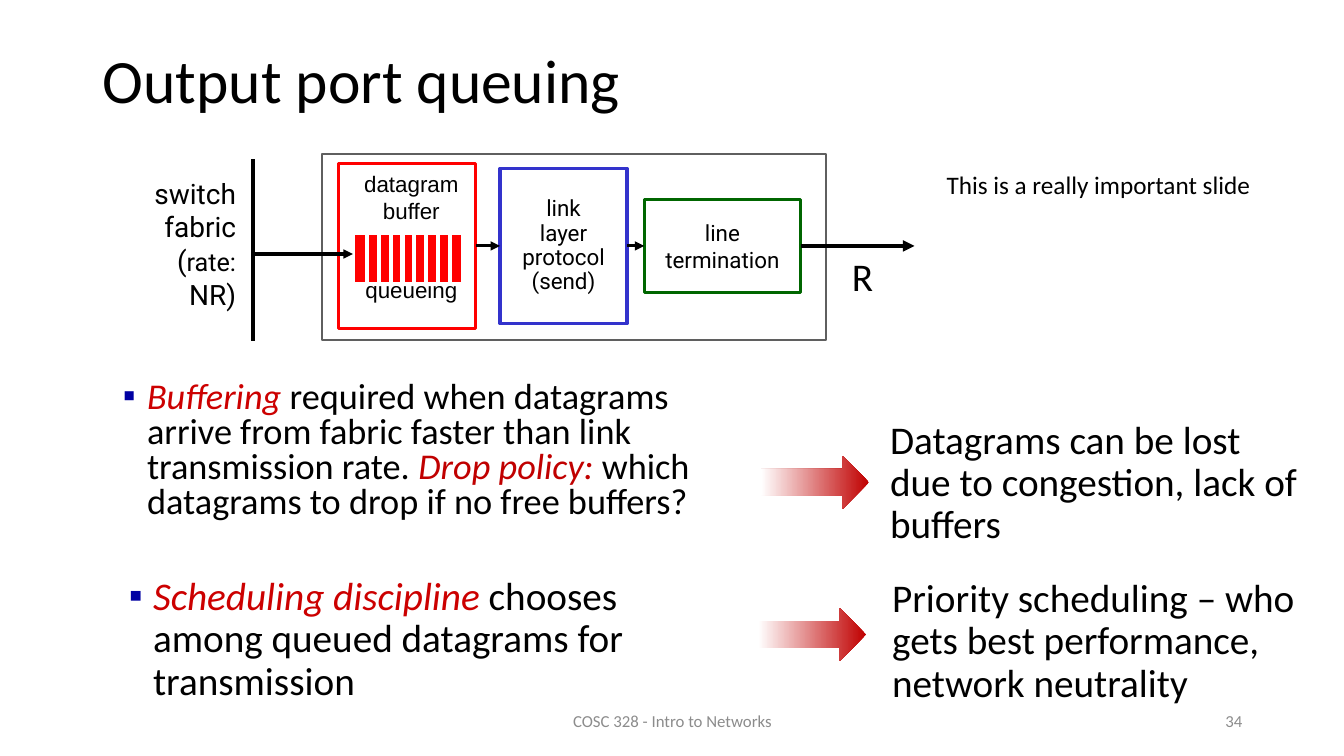
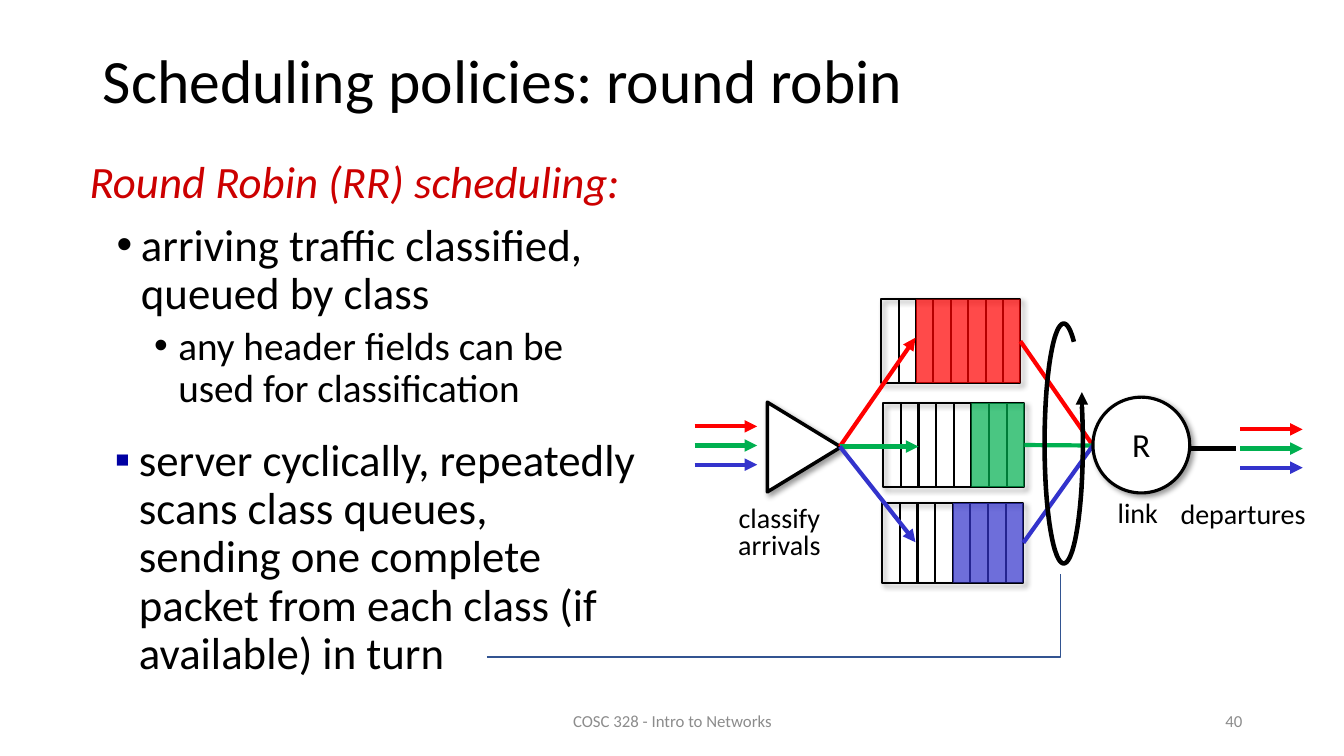
from dataclasses import dataclass
from math import cos, radians, sin
from typing import Optional

from lxml.etree import SubElement
from pptx import Presentation
from pptx.dml.color import RGBColor
from pptx.enum.shapes import MSO_CONNECTOR, MSO_SHAPE
from pptx.enum.text import MSO_ANCHOR, PP_ALIGN as ALIGN
from pptx.oxml.ns import qn
from pptx.util import Inches, Pt

BLACK, WHITE, GREY = "000000", "FFFFFF", "8C8C8C"
RED, GREEN, BLUE = "FF0000", "00B050", "3333CC"
ACCENT, CRIMSON, BULLET_BLUE = "CC0000", "C00000", "0000A3"
FOOTER = "COSC 328 - Intro to Networks"
TITLE_BOX = (0.92, 0.34, 11.5, 0.98)
CLASS_COLORS = (RED, GREEN, BLUE)


@dataclass(frozen=True)
class Run:
    text: str
    color: Optional[str] = None
    size: Optional[float] = None
    italic: bool = False


@dataclass(frozen=True)
class Para:
    runs: tuple
    bullet: str = ""
    bullet_color: str = BLACK
    left: float = 0
    hanging: float = 0
    before: float = 0
    size: Optional[float] = None


@dataclass(frozen=True)
class Outcome:
    text: str
    text_box: tuple
    arrow_box: tuple


@dataclass(frozen=True)
class Queue:
    box: tuple
    color: str
    first_full: int
    entry: tuple


def rgb(color: str) -> RGBColor:
    return RGBColor.from_string(color)


def inches(values) -> list:
    return [Inches(value) for value in values]


def add_bullet(paragraph, item: Para) -> None:
    props = paragraph._p.get_or_add_pPr()
    props.set("marL", str(Inches(item.left)))
    props.set("indent", str(-Inches(item.hanging)))
    if item.bullet:
        tint = SubElement(props, qn("a:buClr"))
        SubElement(tint, qn("a:srgbClr"), val=item.bullet_color)
        SubElement(props, qn("a:buFont"), typeface="Arial")
        SubElement(props, qn("a:buChar"), char=item.bullet)
    else:
        SubElement(props, qn("a:buNone"))


def write(frame, *items, size: float, color: str = BLACK, font: str = "Calibri",
          align=ALIGN.LEFT, anchor=MSO_ANCHOR.TOP, wrap: bool = True,
          spacing: float = 1.0) -> None:
    frame.word_wrap = wrap
    frame.vertical_anchor = anchor
    for index, item in enumerate(items):
        item = Para((Run(item),)) if isinstance(item, str) else item
        paragraph = frame.add_paragraph() if index else frame.paragraphs[0]
        paragraph.alignment = align
        paragraph.line_spacing = spacing
        if index:
            paragraph.space_before = Pt(item.before)
        add_bullet(paragraph, item)
        for part in item.runs:
            run = paragraph.add_run()
            run.text = part.text
            run.font.name = font
            run.font.size = Pt(part.size or item.size or size)
            run.font.italic = part.italic
            run.font.color.rgb = rgb(part.color or color)


def add_text(slide, box: tuple, *items, **style) -> None:
    write(slide.shapes.add_textbox(*inches(box)).text_frame, *items, **style)


def paint(shape, fill: Optional[str], line: Optional[str], width: float,
          shadow: bool = False, opacity: int = 100):
    if fill:
        shape.fill.solid()
        shape.fill.fore_color.rgb = rgb(fill)
        if opacity < 100:
            tint = shape._element.spPr.find(f"{qn('a:solidFill')}/{qn('a:srgbClr')}")
            SubElement(tint, qn("a:alpha"), val=str(opacity * 1000))
    else:
        shape.fill.background()
    if line:
        shape.line.color.rgb = rgb(line)
        shape.line.width = Pt(width)
    else:
        shape.line.fill.background()
    shape.shadow.inherit = False
    if shadow:
        effects = shape._element.spPr.find(qn("a:effectLst"))
        outer = SubElement(effects, qn("a:outerShdw"), blurRad=str(Pt(4)), dist=str(Pt(3)),
                           dir="2700000", algn="tl", rotWithShape="0")
        tint = SubElement(outer, qn("a:srgbClr"), val=BLACK)
        SubElement(tint, qn("a:alpha"), val="40000")
    return shape


def add_block(slide, box: tuple, fill: Optional[str] = None, line: Optional[str] = None,
              width: float = 2.25, preset=MSO_SHAPE.RECTANGLE, **effects):
    return paint(slide.shapes.add_shape(preset, *inches(box)), fill, line, width, **effects)


def add_line(slide, start: tuple, end: tuple, color: str = BLACK, width: float = 2.25,
             arrow: bool = False, source=None, target=None) -> None:
    link = slide.shapes.add_connector(MSO_CONNECTOR.STRAIGHT, *inches(start + end))
    if source is not None:
        link.begin_connect(source, 3)
    if target is not None:
        link.end_connect(target, 1)
    link.line.color.rgb = rgb(color)
    link.line.width = Pt(width)
    props = link._element.spPr
    if arrow:
        SubElement(props.find(qn("a:ln")), qn("a:tailEnd"), type="triangle")
    SubElement(props, qn("a:effectLst"))


def add_polyline(slide, points: list, color: str, width: float) -> None:
    start, *rest = [tuple(inches(point)) for point in points]
    builder = slide.shapes.build_freeform(*start)
    builder.add_line_segments(rest, close=False)
    paint(builder.convert_to_shape(), None, color, width)


def add_slide(deck, title: str, number: int):
    slide = deck.slides.add_slide(deck.slide_layouts[5])
    heading = slide.shapes.title
    heading.left, heading.top, heading.width, heading.height = inches(TITLE_BOX)
    write(heading.text_frame, title, size=44, anchor=MSO_ANCHOR.MIDDLE, spacing=0.9)
    small = dict(size=12, color=GREY, anchor=MSO_ANCHOR.MIDDLE)
    add_text(slide, (4.42, 6.95, 4.5, 0.4), FOOTER, align=ALIGN.CENTER, **small)
    add_text(slide, (9.42, 6.95, 3, 0.4), str(number), align=ALIGN.RIGHT, **small)
    return slide


def add_port_diagram(slide) -> None:
    centered = dict(size=16, align=ALIGN.CENTER, wrap=False)
    middle = dict(font="Roboto", anchor=MSO_ANCHOR.MIDDLE)
    add_block(slide, (3.19, 1.53, 5, 1.84), WHITE, "5F5F5F", 1.5)
    termination = add_block(slide, (6.39, 1.98, 1.55, 0.92), WHITE, "006600")
    write(termination.text_frame, "line", "termination", **centered, **middle)
    protocol = add_block(slide, (4.96, 1.67, 1.26, 1.54), WHITE, BLUE)
    write(protocol.text_frame, "link", "layer", "protocol", "(send)",
          spacing=0.9, **centered, **middle)
    buffer = add_block(slide, (3.36, 1.62, 1.36, 1.64), WHITE, RED)
    add_text(slide, (3.45, 1.64, 1.26, 1.6), "datagram", "buffer",
             Para((Run("queueing"),), before=37), font="Arial", **centered)

    packets = add_block(slide, (3.5, 2.31, 1.09, 0.51), RED, WHITE, 3)
    for index in range(8):
        x = 3.64 + index * 0.1175
        add_line(slide, (x, 2.32), (x, 2.81), WHITE, 3)

    rate = Para((Run("("), Run("rate: ", size=18), Run("NR)")))
    add_text(slide, (1.29, 1.96, 1.15, 0.91), "switch", "fabric", rate,
             size=20, align=ALIGN.RIGHT, wrap=False, **middle)
    add_line(slide, (2.51, 1.58), (2.51, 3.38))
    add_line(slide, (2.49, 2.52), (3.5, 2.52), arrow=True)
    add_line(slide, (4.72, 2.44), (4.96, 2.44), arrow=True, source=buffer, target=protocol)
    add_line(slide, (6.22, 2.44), (6.39, 2.44), arrow=True, source=protocol, target=termination)
    add_line(slide, (7.94, 2.44), (9.07, 2.44), width=2.75, arrow=True, source=termination)
    add_text(slide, (8.35, 2.45, 0.35, 0.57), "R", size=28)


def build_port_queuing(deck) -> None:
    slide = add_slide(deck, "Output port queuing", 34)
    add_port_diagram(slide)
    add_text(slide, (9.29, 1.63, 3.25, 0.4), "This is a really important slide",
             size=18, wrap=False)
    square = dict(bullet="▪", bullet_color=BULLET_BLUE, left=0.39, hanging=0.24)
    buffering = Para((
        Run("Buffering", ACCENT, italic=True),
        Run(" required when datagrams arrive from fabric faster than link transmission rate. "),
        Run("Drop policy: ", CRIMSON, italic=True),
        Run("which datagrams to drop if no free buffers?")), **square)
    scheduling = Para((
        Run("Scheduling discipline", ACCENT, italic=True),
        Run(" chooses among queued datagrams for transmission")), **square)
    add_text(slide, (0.97, 3.74, 6.54, 1.55), buffering, size=25.9, spacing=0.8)
    add_text(slide, (1.03, 5.67, 5.61, 1.41), scheduling, size=28, spacing=0.9)

    outcomes = (
        Outcome("Datagrams can be lost due to congestion, lack of buffers",
                (8.73, 4.12, 4.32, 1.37), (7.55, 4.52, 1.07, 0.53)),
        Outcome("Priority scheduling – who gets best performance, network neutrality",
                (8.75, 5.69, 4.58, 1.37), (7.52, 6.03, 1.07, 0.53)),
    )
    for outcome in outcomes:
        add_text(slide, outcome.text_box, outcome.text, size=28, spacing=0.9)
        arrow = add_block(slide, outcome.arrow_box, preset=MSO_SHAPE.RIGHT_ARROW)
        arrow.fill.gradient()
        arrow.fill.gradient_angle = 180
        for stop, color in zip(arrow.fill.gradient_stops, (CRIMSON, WHITE)):
            stop.color.rgb = rgb(color)


def add_queue(slide, queue: Queue):
    left, top, width, height = queue.box
    slot = width / 8
    frame = add_block(slide, queue.box, line=BLACK, width=1.5, shadow=True)
    for index in range(1, 8):
        x = left + index * slot
        add_line(slide, (x, top), (x, top + height), width=1.5)
    filled = (left + queue.first_full * slot, top, (8 - queue.first_full) * slot, height)
    add_block(slide, filled, queue.color, opacity=71)
    return frame


def add_traffic(slide, left: float, top: float) -> None:
    for index, color in enumerate(CLASS_COLORS):
        y = top + index * 0.19
        add_line(slide, (left, y), (left + 0.62, y), color, 3, arrow=True)


def add_round_robin_diagram(slide) -> None:
    queues = (
        Queue((8.74, 2.97, 1.38, 0.83), RED, 2, (9.08, 3.35)),
        Queue((8.76, 4, 1.4, 0.83), GREEN, 5, (9.11, 4.43)),
        Queue((8.75, 4.99, 1.4, 0.79), BLUE, 4, (9.08, 5.38)),
    )
    add_line(slide, (11.76, 4.45), (12.26, 4.45), width=3)
    frames = [add_queue(slide, queue) for queue in queues]
    classifier = add_block(slide, (7.53, 4.07, 0.89, 0.73), WHITE, BLACK, 2.5,
                           MSO_SHAPE.ISOSCELES_TRIANGLE, shadow=True)
    classifier.rotation = 90
    add_traffic(slide, 6.89, 4.23)
    add_traffic(slide, 12.3, 4.26)
    for queue, frame in zip(queues, frames):
        add_line(slide, (8.33, 4.43), queue.entry, queue.color, 3, arrow=True)
        add_line(slide, (10.15, 4.42), (10.84, 4.42), queue.color, 3, source=frame)
    add_block(slide, (10.84, 3.94, 0.96, 0.95), WHITE, BLACK, preset=MSO_SHAPE.OVAL, shadow=True)

    label = dict(align=ALIGN.CENTER, wrap=False, spacing=0.8)
    add_text(slide, (7.19, 4.98, 1.08, 0.65), "classify", "arrivals", size=20, **label)
    add_text(slide, (11.6, 4.94, 1.46, 0.38), "departures", size=20, **label)
    add_text(slide, (10.98, 4.93, 0.61, 0.38), "link", size=20, **label)
    add_text(slide, (11.13, 4.23, 0.38, 0.43), "R", size=24, **label)

    cycle = [(10.55 + 0.19 * cos(radians(angle)), 4.4 + 1.19 * sin(radians(angle)))
             for angle in range(-18, 303, 4)]
    add_polyline(slide, cycle, BLACK, 3.25)
    add_line(slide, (10.73, 4.18), (10.73, 3.89), width=3, arrow=True)
    add_polyline(slide, [(4.83, 6.52), (10.52, 6.52), (10.52, 5.69)], "325491", 1)


def build_round_robin(deck) -> None:
    slide = add_slide(deck, "Scheduling policies: round robin", 40)
    heading = Para((Run("Round Robin (RR) scheduling:", ACCENT, italic=True),),
                   left=0.25, hanging=0.25)
    arriving = Para((Run("arriving traffic classified, queued by class"),),
                    "•", left=0.51, hanging=0.24, before=10)
    fields = Para((Run("any header fields can be used for classification"),),
                  "•", left=0.88, hanging=0.24, before=5, size=28)
    server = Para((Run("server cyclically, repeatedly scans class queues, sending one "
                       "complete packet from each class (if available) in turn"),),
                  "▪", BULLET_BLUE, left=0.51, hanging=0.24)
    add_text(slide, (0.79, 1.54, 5.64, 2.75), heading, arriving, fields, size=32, spacing=0.9)
    add_text(slide, (0.77, 4.29, 5.64, 2.57), server, size=32, spacing=0.9)
    add_round_robin_diagram(slide)


def main() -> None:
    deck = Presentation()
    deck.slide_width, deck.slide_height = inches((13.33, 7.5))
    build_port_queuing(deck)
    build_round_robin(deck)
    deck.save("out.pptx")


if __name__ == "__main__":
    main()
